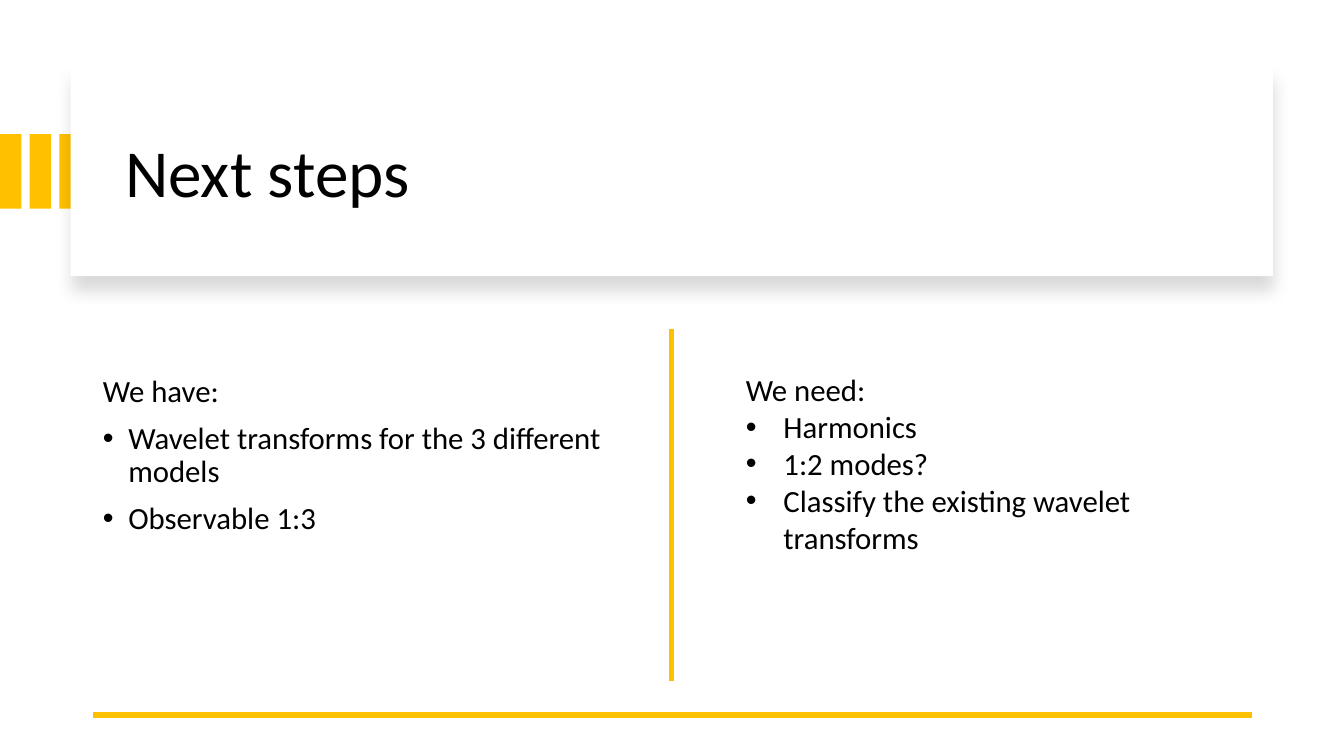
from dataclasses import dataclass
from lxml.etree import SubElement
from pptx import Presentation
from pptx.dml.color import RGBColor
from pptx.enum.shapes import MSO_CONNECTOR as Connector, MSO_SHAPE as Shape
from pptx.enum.text import MSO_ANCHOR as Anchor, MSO_AUTO_SIZE as AutoSize, PP_ALIGN as Align
from pptx.oxml.ns import qn
from pptx.util import Cm, Pt


@dataclass(frozen=True)
class Theme:
    accent: RGBColor = RGBColor(0xFF, 0xC0, 0x00)
    paper: RGBColor = RGBColor(0xFF, 0xFF, 0xFF)
    ink: RGBColor = RGBColor(0, 0, 0)
    font: str = "Calibri"
    heading: int = 48
    body: int = 22


theme = Theme()


def add_block(shapes, left, top, width, height, color):
    block = shapes.add_shape(Shape.RECTANGLE, Cm(left), Cm(top), Cm(width), Cm(height))
    block.fill.solid()
    block.fill.fore_color.rgb = color
    block.line.fill.background()
    block.shadow.inherit = False
    return block


def write(holder, box, lines, size, anchor, spacing, before, indent):
    for side, length in zip(("left", "top", "width", "height"), box):
        setattr(holder, side, Cm(length))
    frame = holder.text_frame
    frame.text = "\n".join(lines)
    frame.word_wrap = True
    frame.auto_size = AutoSize.NONE
    frame.vertical_anchor = anchor
    layout = {"alignment": Align.LEFT, "line_spacing": spacing,
              "space_before": Pt(before), "space_after": Pt(0)}
    for number, paragraph in enumerate(frame.paragraphs):
        for key, value in layout.items():
            setattr(paragraph, key, value)
        paragraph.font.name = theme.font
        paragraph.font.size = Pt(size)
        paragraph.font.color.rgb = theme.ink
        hanging = Cm(indent) if number else 0
        properties = paragraph._p.get_or_add_pPr()
        properties.set("marL", str(hanging))
        properties.set("indent", str(-hanging))
        if number:
            SubElement(properties, qn("a:buFont"), typeface="Arial")
            SubElement(properties, qn("a:buChar"), char="•")
        else:
            SubElement(properties, qn("a:buNone"))
    return frame


deck = Presentation()
deck.slide_width, deck.slide_height = Cm(33.87), Cm(19.05)
slide = deck.slides.add_slide(deck.slide_layouts[3])
title, have, need = list(slide.placeholders)[:3]

stripes = slide.shapes.add_group_shape()
for stripe in range(3):
    add_block(stripes.shapes, 0.75 * stripe, 3.38, 0.54, 1.88, theme.accent)

panel = add_block(slide.shapes, 1.78, 1.7, 30.3, 5.26, theme.paper)
effects = panel._element.spPr.find(qn("a:effectLst"))
shadow = SubElement(effects, qn("a:outerShdw"), blurRad=str(Pt(11)), dist=str(Pt(10)),
                    dir="5400000", algn="t", rotWithShape="0")
shade = SubElement(shadow, qn("a:srgbClr"), val=str(theme.ink))
SubElement(shade, qn("a:alpha"), val="15000")

for holder in (title, have, need):
    slide.shapes._spTree.append(holder._element)

write(title, (2.9, 2.26, 27.61, 4.32), ["Next steps"], theme.heading, Anchor.MIDDLE, 0.9, 0, 0)
have_frame = write(
    have, (2.34, 7.75, 13.26, 8.69),
    ["We have:", "Wavelet transforms for the 3 different models", "Observable 1:3"],
    theme.body, Anchor.MIDDLE, 0.9, 10, 0.64)
have_frame.margin_bottom = Cm(1.33)
write(
    need, (18.54, 9.22, 13.54, 5.74),
    ["We need:", "Harmonics", "1:2 modes?", "Classify the existing wavelet transforms"],
    theme.body, Anchor.TOP, 1.0, 0, 0.95)

for start_x, start_y, end_x, end_y, weight in (
    (31.55, 18.01, 2.34, 18.01, 4.5),
    (16.92, 8.28, 16.92, 17.15, 3),
):
    rule = slide.shapes.add_connector(
        Connector.STRAIGHT, Cm(start_x), Cm(start_y), Cm(end_x), Cm(end_y))
    rule.line.color.rgb = theme.accent
    rule.line.width = Pt(weight)
    SubElement(rule._element.spPr, qn("a:effectLst"))

deck.save("out.pptx")
